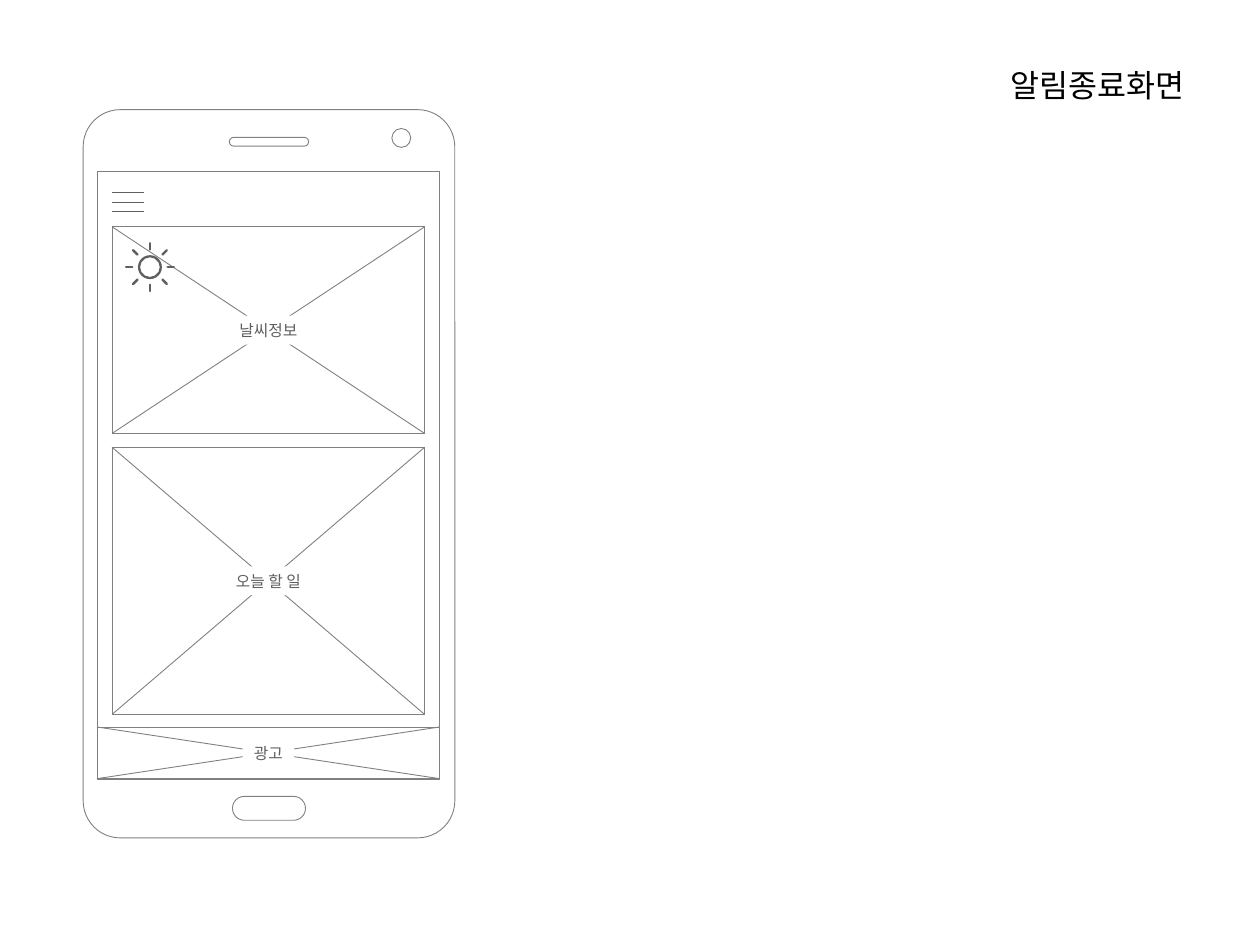
import math
import pptx
import pptx.dml.color
import pptx.enum.shapes
import pptx.enum.text
import pptx.oxml.ns
import pptx.util
from lxml import etree

Inches = pptx.util.Inches
Kind = pptx.enum.shapes.MSO_SHAPE
Align = pptx.enum.text.PP_ALIGN
Anchor = pptx.enum.text.MSO_ANCHOR
AutoSize = pptx.enum.text.MSO_AUTO_SIZE

OUTLINE, INK, WHITE, BLACK = "808080", "5F5F5F", "FFFFFF", "000000"


def set_color(color_format, value):
    color_format.rgb = pptx.dml.color.RGBColor.from_string(value)


def add_part(slide, kind, left, top, width, height, fill=None, line=OUTLINE):
    shape = slide.shapes.add_shape(
        kind, Inches(left), Inches(top), Inches(width), Inches(height))
    shape.shadow.inherit = False
    if fill:
        shape.fill.solid()
        set_color(shape.fill.fore_color, fill)
    else:
        shape.fill.background()
    if line:
        set_color(shape.line.color, line)
        shape.line.width = pptx.util.Pt(0.5)
    else:
        shape.line.fill.background()
    return shape


def add_line(slide, x1, y1, x2, y2, color=OUTLINE, weight=0.5, cap="flat"):
    line = slide.shapes.add_connector(
        pptx.enum.shapes.MSO_CONNECTOR.STRAIGHT,
        Inches(x1), Inches(y1), Inches(x2), Inches(y2))
    set_color(line.line.color, color)
    line.line.width = pptx.util.Pt(weight)
    properties = line._element.spPr
    properties.find(pptx.oxml.ns.qn("a:ln")).set("cap", cap)
    etree.SubElement(properties, pptx.oxml.ns.qn("a:effectLst"))


def write_text(shape, text, size, font, color, align):
    frame = shape.text_frame
    frame.word_wrap = False
    frame.auto_size = AutoSize.SHAPE_TO_FIT_TEXT
    paragraph = frame.paragraphs[0]
    paragraph.alignment = align
    run = paragraph.add_run()
    run.text = text
    run.font.size = pptx.util.Pt(size)
    run.font.name = font
    set_color(run.font.color, color)


def place_title(slide, left, top, width, height, text):
    title = slide.shapes.title
    title.left, title.top = Inches(left), Inches(top)
    title.width, title.height = Inches(width), Inches(height)
    title.text_frame.vertical_anchor = Anchor.TOP
    write_text(title, text, 18, "Calibri", BLACK, Align.RIGHT)


def draw_phone(slide, left, top, width, height):
    # Body
    body = add_part(slide, Kind.ROUNDED_RECTANGLE, left, top, width, height, WHITE)
    body.adjustments[0] = 0.1
    # Home button and speaker, centred on the body
    for y, pill_width, pill_height in ((5.45, 0.58, 0.19), (0.22, 0.63, 0.07)):
        pill = add_part(slide, Kind.ROUNDED_RECTANGLE,
                        left + (width - pill_width) / 2, top + y,
                        pill_width, pill_height)
        pill.adjustments[0] = 0.5
    # Camera and screen
    add_part(slide, Kind.OVAL, left + 2.45, top + 0.15, 0.15, 0.15)
    add_part(slide, Kind.RECTANGLE, left + 0.11, top + 0.49, 2.72, 4.83, WHITE)


def draw_menu_icon(slide, left, top, width, height):
    for index in range(3):
        y = top + index * height / 2
        add_line(slide, left, y, left + width, y, INK, 0.75)


def draw_placeholder_box(slide, left, top, width, height, text, label_width, label_height):
    right, bottom = left + width, top + height
    add_part(slide, Kind.RECTANGLE, left, top, width, height, WHITE)
    add_line(slide, left, bottom, right, top)
    add_line(slide, left, top, right, bottom)
    # Label over the crossing
    label = add_part(slide, Kind.RECTANGLE,
                     left + (width - label_width) / 2,
                     top + (height - label_height) / 2,
                     label_width, label_height, WHITE, None)
    frame = label.text_frame
    frame.margin_left = frame.margin_right = Inches(0.08)
    frame.margin_top = frame.margin_bottom = Inches(0.04)
    frame.vertical_anchor = Anchor.MIDDLE
    write_text(label, text, 9, "Karla", INK, Align.CENTER)


def draw_sun_icon(slide, left, top, size):
    center_x, center_y = left + size / 2, top + size / 2
    ring_size = 0.19
    ring = add_part(slide, Kind.DONUT, center_x - ring_size / 2,
                    center_y - ring_size / 2, ring_size, ring_size, INK, None)
    ring.adjustments[0] = 0.09
    # Eight rays at equal angles
    for index in range(8):
        angle = index * math.pi / 4
        dx, dy = math.cos(angle), math.sin(angle)
        add_line(slide, center_x + 0.14 * dx, center_y + 0.14 * dy,
                 center_x + 0.19 * dx, center_y + 0.19 * dy, INK, 1.4, "rnd")


presentation = pptx.Presentation()
presentation.slide_width, presentation.slide_height = Inches(10), Inches(7.5)
slide = presentation.slides.add_slide(presentation.slide_layouts[5])

place_title(slide, 7.78, 0.47, 1.72, 0.4, "알림종료화면")
draw_phone(slide, 0.66, 0.87, 2.95, 5.78)
draw_menu_icon(slide, 0.89, 1.53, 0.25, 0.15)
draw_placeholder_box(slide, 0.89, 1.8, 2.48, 1.64, "날씨정보", 0.67, 0.23)
draw_placeholder_box(slide, 0.89, 3.55, 2.48, 2.12, "오늘 할 일", 0.74, 0.23)
draw_sun_icon(slide, 0.99, 1.92, 0.4)
draw_placeholder_box(slide, 0.77, 5.77, 2.72, 0.41, "광고", 0.41, 0.21)

presentation.save("out.pptx")
